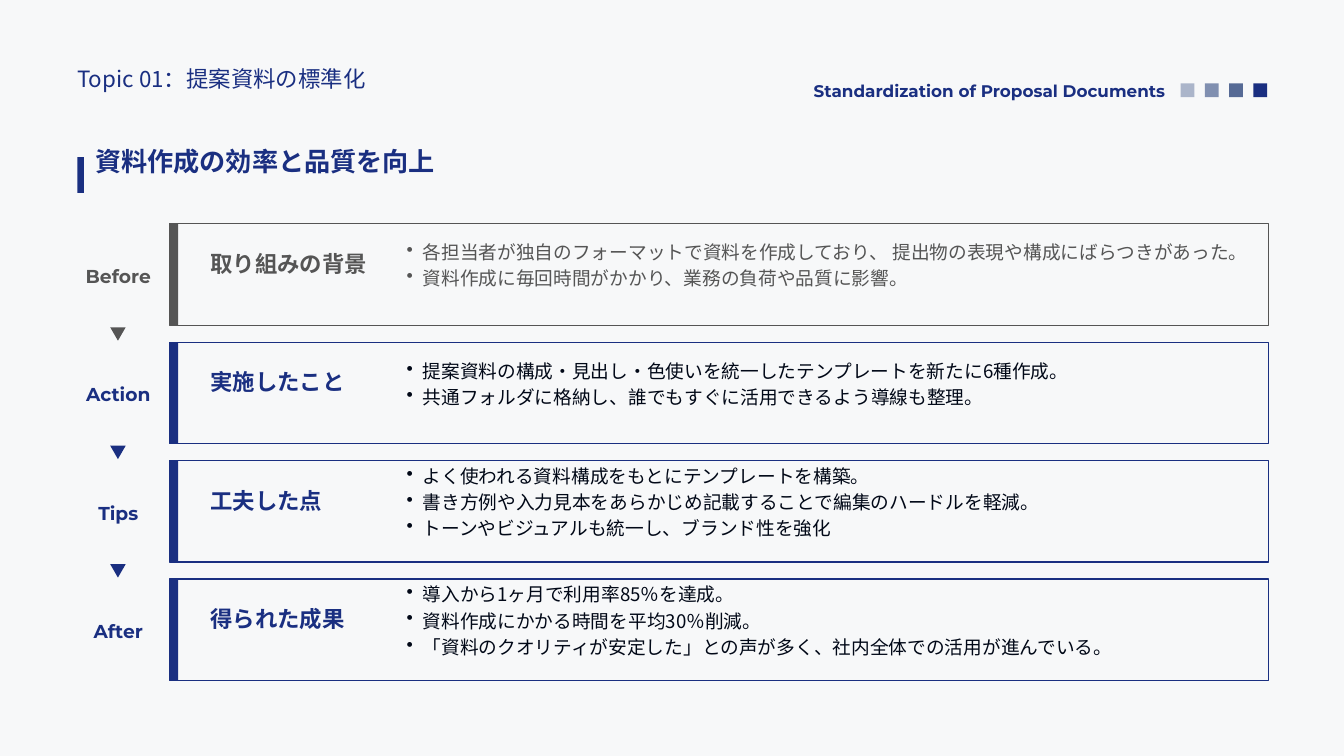
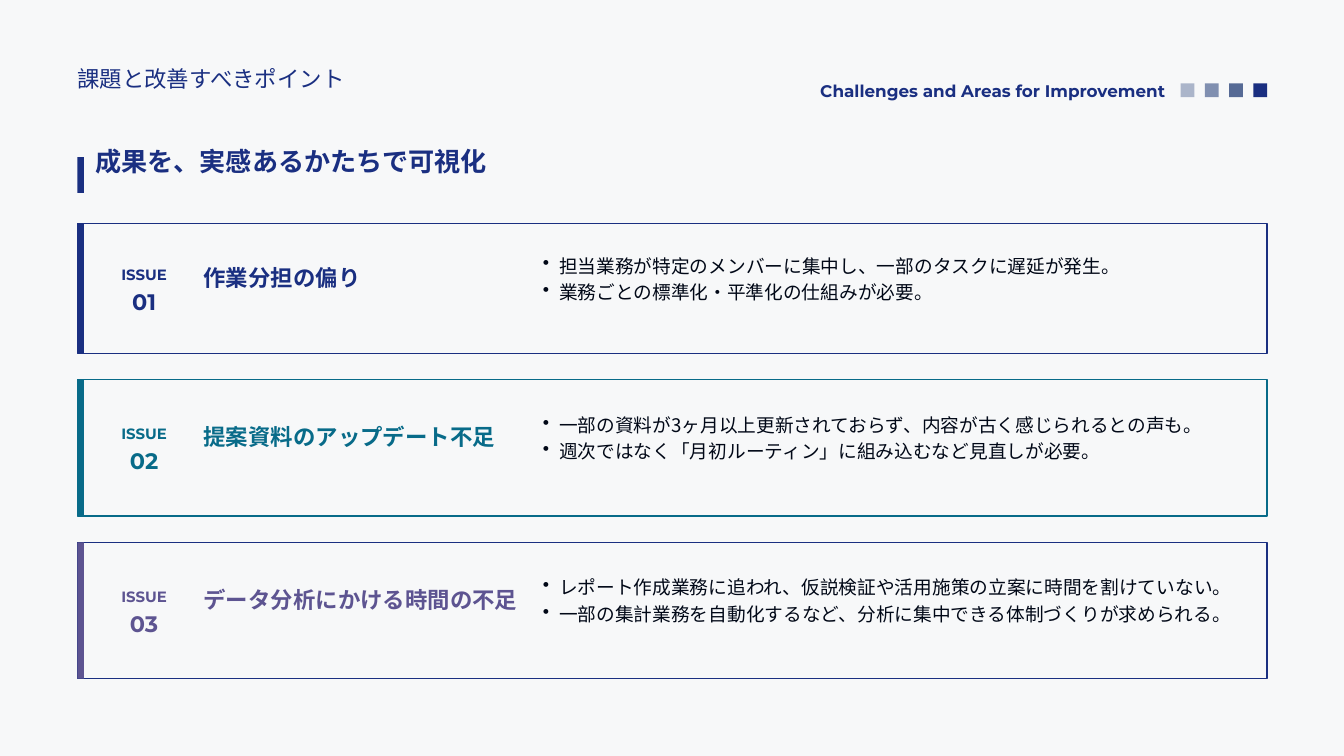
from lxml.etree import SubElement
from pptx import Presentation
from pptx.dml.color import RGBColor
from pptx.enum.shapes import MSO_SHAPE as Kind
from pptx.enum.text import MSO_AUTO_SIZE as Fit, PP_ALIGN as Align
from pptx.oxml.ns import qn
from pptx.util import Pt

PAPER = RGBColor(0xF7, 0xF8, 0xF9)
NAVY = RGBColor(0x1A, 0x2F, 0x81)
GRAY = RGBColor(0x55, 0x55, 0x55)
TEAL = RGBColor(0x08, 0x6B, 0x89)
PLUM = RGBColor(0x5D, 0x54, 0x91)
INK = RGBColor(0x01, 0x08, 0x17)
TINTS = (RGBColor(0xAB, 0xB5, 0xCA), RGBColor(0x80, 0x8F, 0xB0),
         RGBColor(0x56, 0x6A, 0x95), NAVY)
SANS = "Noto Sans CJK JP"
LATIN = "Montserrat"
LEFT = 82.8
TOP = 239.76

STEPS = [
    ("Before", "取り組みの背景", GRAY, GRAY, [
        "各担当者が独自のフォーマットで資料を作成しており、 提出物の表現や構成にばらつきがあった。",
        "資料作成に毎回時間がかかり、業務の負荷や品質に影響。"]),
    ("Action", "実施したこと", NAVY, INK, [
        "提案資料の構成・見出し・色使いを統一したテンプレートを新たに6種作成。",
        "共通フォルダに格納し、誰でもすぐに活用できるよう導線も整理。"]),
    ("Tips", "工夫した点", NAVY, INK, [
        "よく使われる資料構成をもとにテンプレートを構築。",
        "書き方例や入力見本をあらかじめ記載することで編集のハードルを軽減。",
        "トーンやビジュアルも統一し、ブランド性を強化"]),
    ("After", "得られた成果", NAVY, INK, [
        "導入から1ヶ月で利用率85％を達成。",
        "資料作成にかかる時間を平均30％削減。",
        "「資料のクオリティが安定した」との声が多く、社内全体での活用が進んでいる。"]),
]

# heading, accent, outline, card height, points
ISSUES = [
    ("作業分担の偏り", NAVY, NAVY, 138.96, [
        "担当業務が特定のメンバーに集中し、一部のタスクに遅延が発生。",
        "業務ごとの標準化・平準化の仕組みが必要。"]),
    ("提案資料のアップデート不足", TEAL, TEAL, 146.16, [
        "一部の資料が3ヶ月以上更新されておらず、内容が古く感じられるとの声も。",
        "週次ではなく「月初ルーティン」に組み込むなど見直しが必要。"]),
    ("データ分析にかける時間の不足", PLUM, NAVY, 146.16, [
        "レポート作成業務に追われ、仮説検証や活用施策の立案に時間を割けていない。",
        "一部の集計業務を自動化するなど、分析に集中できる体制づくりが求められる。"]),
]


def write(para, text, size=20, color=NAVY, font=SANS, bold=False,
          align=Align.LEFT, bullet=False):
    if bullet:
        para.level = 1
        props = para._p.get_or_add_pPr()
        props.set("marL", str(Pt(33.84)))
        props.set("indent", str(Pt(-17.28)))
        SubElement(props, qn("a:buChar")).set("char", "•")
    para.alignment = align
    para.line_spacing = Pt(1.4 * size)
    run = para.add_run()
    run.text = text
    face = run.font
    face.size, face.bold, face.name = Pt(size), bold, font
    face.color.rgb = color
    SubElement(run._r.get_or_add_rPr(), qn("a:ea")).set("typeface", font)


class Deck:
    """Holds the presentation, its shared style and the current slide."""

    def __init__(self):
        self.file = Presentation()
        self.file.slide_width, self.file.slide_height = Pt(1440), Pt(810)
        self.slide = None

    def shape(self, x, y, w, h, fill=None, line=None, kind=Kind.RECTANGLE):
        item = self.slide.shapes.add_shape(kind, Pt(x), Pt(y), Pt(w), Pt(h))
        item.shadow.inherit = False
        if fill is None:
            item.fill.background()
        else:
            item.fill.solid()
            item.fill.fore_color.rgb = fill
        if line is None:
            item.line.fill.background()
        else:
            item.line.color.rgb = line
            item.line.width = Pt(1.5)

    def text(self, x, y, w, h, lines, **style):
        box = self.slide.shapes.add_textbox(Pt(x), Pt(y), Pt(w), Pt(h))
        frame = box.text_frame
        frame.word_wrap = True
        frame.auto_size = Fit.SHAPE_TO_FIT_TEXT
        frame.margin_left = frame.margin_right = 0
        frame.margin_top = frame.margin_bottom = 0
        for i, line in enumerate(lines):
            para = frame.add_paragraph() if i else frame.paragraphs[0]
            write(para, line, **style)

    def heading(self, x, y, w, text, color):
        self.text(x, y, w, 45.36, [text], size=24, bold=True, color=color)

    def label(self, x, y, w, h, text, **style):
        self.text(x, y, w, h, [text], font=LATIN, bold=True,
                  **{"align": Align.CENTER, **style})

    def points(self, x, y, w, lines, color=INK):
        self.text(x, y, w, 9.6 + 28 * len(lines), lines, color=color, bullet=True)

    def card(self, x, y, w, h, line, accent, bar):
        """Outlined card with an accent bar down its left edge."""
        self.shape(x, y, w, h, line=line)
        self.shape(x, y, bar, h, fill=accent)

    def page(self, title, width, english, lead):
        """Starts a slide with the shared header."""
        self.slide = self.file.slides.add_slide(self.file.slide_layouts[6])
        paper = self.slide.background.fill
        paper.solid()
        paper.fore_color.rgb = PAPER
        self.shape(LEFT, 168.48, 7.2, 38.16, fill=NAVY)
        for i, tint in enumerate(TINTS):
            self.shape(1265.04 + 25.92 * i, 89.28, 14.8, 14.8, fill=tint)
        self.text(102.24, 150.48, 599.04, 54, [lead], size=28, bold=True)
        self.text(LEFT, 65.52, width, 45.36, [title], size=24)
        self.label(722.16, 82.8, 526.32, 24.48, english, size=18, align=Align.RIGHT)


def steps(deck):
    deck.page("Topic 01：提案資料の標準化", 800,
              "Standardization of Proposal Documents", "資料作成の効率と品質を向上")
    for i, (label, head, color, ink, lines) in enumerate(STEPS):
        y = TOP + 126.9 * i
        deck.card(181.44, y, 1177.6, 108.72, color, color, 9.36)
        deck.label(LEFT, y + 39.6, 87.84, 26.64, label, color=color)
        deck.heading(225.36, y + 23.04, 193.68, head, color)
        deck.points(419.04, y + 42.4 - 14 * len(lines), 910.08, lines, ink)
        if i < len(STEPS) - 1:
            deck.shape(118.1, y + 110.9, 16.6, 14.4, fill=color,
                       kind=Kind.FLOWCHART_MERGE)


def issues(deck):
    deck.page("課題と改善すべきポイント", 637.2,
              "Challenges and Areas for Improvement", "成果を、実感あるかたちで可視化")
    y = TOP
    for i, (head, color, line, height, lines) in enumerate(ISSUES, 1):
        mid = y + height / 2
        deck.card(LEFT, y, 1274.8, height, line, color, 7.2)
        deck.heading(218.16, mid - 31.3, 358.56, head, color)
        deck.points(565.2, mid - 40.7, 762.48, lines)
        deck.label(115.92, mid - 27.7, 77.04, 20.88, "ISSUE", size=16, color=color)
        deck.label(115.92, mid - 5.4, 77.04, 30.96, f"{i:02}", size=24, color=color)
        y += height + 28.08


def main():
    deck = Deck()
    steps(deck)
    issues(deck)
    deck.file.save("out.pptx")


if __name__ == "__main__":
    main()
